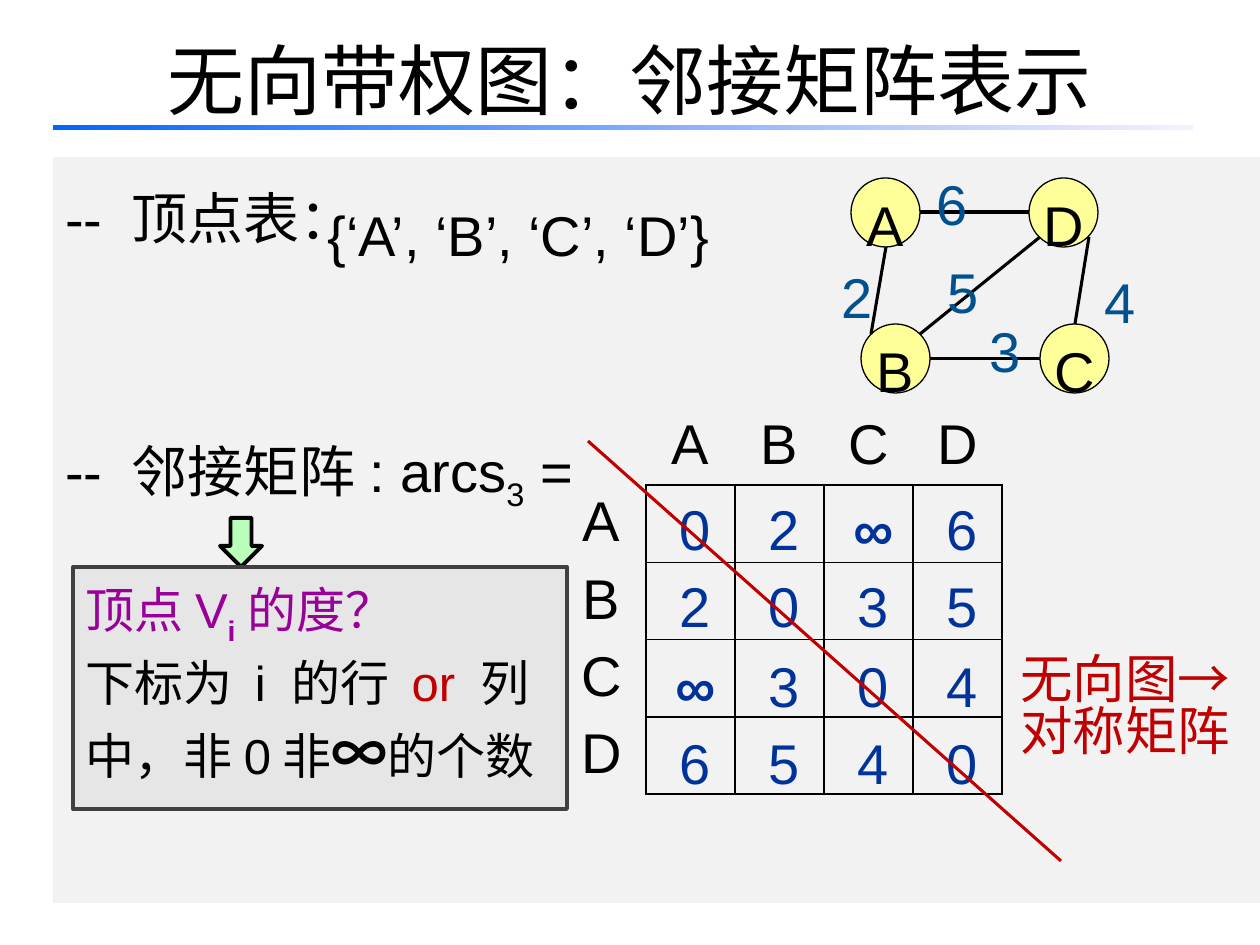
from lxml import etree
from pptx import Presentation
from pptx.dml.color import RGBColor
from pptx.enum.shapes import MSO_CONNECTOR, MSO_SHAPE
from pptx.enum.text import MSO_ANCHOR, PP_ALIGN
from pptx.oxml.ns import qn
from pptx.util import Emu, Pt

SCALE = 914400 / 126
RECTANGLE, OVAL, DOWN_ARROW = MSO_SHAPE.RECTANGLE, MSO_SHAPE.OVAL, MSO_SHAPE.DOWN_ARROW
STRAIGHT = MSO_CONNECTOR.STRAIGHT
LEFT, CENTER, JUSTIFY = PP_ALIGN.LEFT, PP_ALIGN.CENTER, PP_ALIGN.JUSTIFY
TOP, MIDDLE = MSO_ANCHOR.TOP, MSO_ANCHOR.MIDDLE

BLACK = RGBColor(0x00, 0x00, 0x00)
PANEL_GREY = RGBColor(0xF2, 0xF2, 0xF2)
BOX_GREY = RGBColor(0xE6, 0xE6, 0xE6)
BORDER_GREY = RGBColor(0x40, 0x40, 0x40)
RULE_BLUE = RGBColor(0x00, 0x66, 0xFF)
RULE_PALE = RGBColor(0xF7, 0xEF, 0xFF)
YELLOW = RGBColor(0xFF, 0xFF, 0x99)
GREEN = RGBColor(0xB9, 0xFF, 0xB9)
WEIGHT_BLUE = RGBColor(0x00, 0x51, 0x8E)
MATRIX_BLUE = RGBColor(0x00, 0x33, 0x99)
RED = RGBColor(0xC0, 0x00, 0x00)
PURPLE = RGBColor(0x99, 0x00, 0x99)

VERTICES = {"A": (851, 178), "D": (1029, 178), "B": (861, 324), "C": (1040, 324)}
VERTEX_SIZE = 69
EDGES = [
    (1089, 237, 1075, 324),
    (1029, 212, 920, 212),
    (871, 334, 886, 247),
    (1040, 359, 930, 359),
    (1040, 237, 920, 334),
]
WEIGHTS = {"6": (924, 140), "4": (1092, 238), "5": (935, 228), "3": (977, 287), "2": (829, 233)}
NAMES = "ABCD"
MATRIX = ["02∞6", "2035", "∞304", "6540"]
MATRIX_TOPS = [494, 571, 651, 728]
CELL_WIDTH, CELL_HEIGHT = 89, 76


def px(value):
    return Emu(round(value * SCALE))


class SlideBuilder:
    def __init__(self, slide, latin="Arial", east_asian="Noto Sans CJK SC"):
        self.slide = slide
        self.latin = latin
        self.east_asian = east_asian

    def style_run(self, run, size, color, bold=False, subscript=False, font=None):
        run.font.size = Pt(size)
        run.font.name = font or self.latin
        run.font.bold = bold
        run.font.color.rgb = color
        properties = run._r.get_or_add_rPr()
        etree.SubElement(properties, qn("a:ea"), typeface=self.east_asian)
        if subscript:
            properties.set("baseline", "-25000")

    def fill_text(self, shape, paragraphs, size, color, align=LEFT, spacing=1.0,
                  anchor=TOP, wrap=True, hanging=0, font=None):
        """Put text in a shape; each paragraph is a list of (text, run options)."""
        frame = shape.text_frame
        frame.word_wrap = wrap
        frame.vertical_anchor = anchor
        for index, pieces in enumerate(paragraphs):
            paragraph = frame.add_paragraph() if index else frame.paragraphs[0]
            paragraph.alignment = align
            paragraph.line_spacing = spacing
            if hanging:
                properties = paragraph._p.get_or_add_pPr()
                properties.set("marL", str(px(hanging)))
                properties.set("indent", str(-px(hanging)))
            for text, options in pieces:
                run = paragraph.add_run()
                run.text = text
                self.style_run(run, **{"size": size, "color": color, "font": font, **options})
        return frame

    def shape(self, kind, left, top, width, height, fill=None, line=None, line_width=0.75):
        shape = self.slide.shapes.add_shape(kind, px(left), px(top), px(width), px(height))
        shape.shadow.inherit = False
        if fill is not None:
            shape.fill.solid()
            shape.fill.fore_color.rgb = fill
        if line is None:
            shape.line.fill.background()
        else:
            shape.line.color.rgb = line
            shape.line.width = Pt(line_width)
        return shape

    def gradient_rule(self, left, top, width, height, start, end):
        fill = self.shape(RECTANGLE, left, top, width, height).fill
        fill.gradient()
        fill.gradient_angle = 0
        for stop, color, position in zip(fill.gradient_stops, (start, end), (0, 1)):
            stop.color.rgb = color
            stop.position = position

    def text(self, left, top, width, height, paragraphs, size, color, **options):
        box = self.slide.shapes.add_textbox(px(left), px(top), px(width), px(height))
        return self.fill_text(box, paragraphs, size, color, **options)

    def line(self, x1, y1, x2, y2, color=BLACK):
        line = self.slide.shapes.add_connector(STRAIGHT, px(x1), px(y1), px(x2), px(y2))
        line.line.color.rgb = color
        line.line.width = Pt(1.75)
        etree.SubElement(line._element.spPr, qn("a:effectLst"))

    def cell_borders(self, cell, sides):
        """Draw black borders on the named sides (L, R, T, B) and clear the others."""
        properties = cell._tc.get_or_add_tcPr()
        for index, side in enumerate("LRTB"):
            border = etree.Element(qn(f"a:ln{side}"), w=str(Pt(1)))
            if side in sides:
                fill = etree.SubElement(border, qn("a:solidFill"))
                etree.SubElement(fill, qn("a:srgbClr"), val=str(BLACK))
            else:
                etree.SubElement(border, qn("a:noFill"))
            properties.insert(index, border)

    def table(self, left, top, rows, color, sides_of):
        """Add a grid of one-character cells; sides_of(row, column) names the borders."""
        row_count, column_count = len(rows), len(rows[0])
        table = self.slide.shapes.add_table(
            row_count, column_count, px(left), px(top),
            px(CELL_WIDTH * column_count), px(CELL_HEIGHT * row_count)).table
        table.first_row = False
        table.horz_banding = False
        for row_index, row in enumerate(rows):
            for column_index, value in enumerate(row):
                cell = table.cell(row_index, column_index)
                cell.margin_top, cell.margin_bottom = px(6), px(4)
                cell.fill.background()
                self.cell_borders(cell, sides_of(row_index, column_index))
                if value:
                    cell.text_frame.text = value
                    paragraph = cell.text_frame.paragraphs[0]
                    paragraph.alignment = CENTER
                    self.style_run(paragraph.runs[0], 32, color, bold=value == "∞")


def grid_sides(row, column):
    """Borders of the matrix grid: labels in row 0 and column 0 stay open."""
    if row and column:
        return "LRTB"
    if row:
        return "R"
    return "B" if column else ""


def main():
    presentation = Presentation()
    presentation.slide_width, presentation.slide_height = px(1260), px(945)
    builder = SlideBuilder(presentation.slides.add_slide(presentation.slide_layouts[6]))

    panel = builder.shape(RECTANGLE, 53, 157, 1207, 746, PANEL_GREY)
    frame = builder.fill_text(panel, [
        [("-- 顶点表：", {})],
        [("-- 邻接矩阵: arcs", {}), ("3", {"subscript": True}), (" =", {})],
    ], 32, BLACK, align=JUSTIFY, spacing=1.3, hanging=47)
    frame.paragraphs[1].line_spacing = 1.1
    frame.paragraphs[1].space_before = Pt(102)

    builder.text(63, 0, 1134, 157, [[("无向带权图：邻接矩阵表示", {})]], 44, BLACK,
                 align=CENTER, anchor=MIDDLE, font=builder.east_asian)
    builder.gradient_rule(53, 125, 1140, 5, RULE_BLUE, RULE_PALE)

    for name, (left, top) in VERTICES.items():
        vertex = builder.shape(OVAL, left, top, VERTEX_SIZE, VERTEX_SIZE, YELLOW, BLACK)
        builder.fill_text(vertex, [[(name, {})]], 32, BLACK, align=CENTER, spacing=1.35,
                          anchor=MIDDLE, wrap=False)
    for edge in EDGES:
        builder.line(*edge)

    labelled_grid = [["", *NAMES]] + [[name, "", "", "", ""] for name in NAMES]
    builder.table(557, 408, labelled_grid, BLACK, grid_sides)

    for weight, (left, top) in WEIGHTS.items():
        builder.text(left, top, 95, 90, [[(weight, {})]], 32, WEIGHT_BLUE, spacing=1.35)
    builder.text(1008, 651, 305, 136, [[("无向图→", {})], [("对称矩阵", {})]], 30, RED,
                 align=JUSTIFY, spacing=0.82, hanging=47)
    builder.shape(DOWN_ARROW, 220, 518, 42, 49, GREEN, BLACK, 2.25)
    builder.text(315, 171, 525, 97, [[("{‘A’, ‘B’, ‘C’, ‘D’}", {})]], 32, BLACK, spacing=1.35)

    for top, values in zip(MATRIX_TOPS, MATRIX):
        builder.table(651, top, [values], MATRIX_BLUE, lambda row, column: "")
    builder.line(588, 441, 1061, 861, RED)

    degree_box = builder.shape(RECTANGLE, 73, 567, 494, 242, BOX_GREY, BORDER_GREY, 2.25)
    builder.fill_text(degree_box, [
        [("顶点V", {"color": PURPLE}),
         ("i", {"color": PURPLE, "bold": True, "subscript": True}),
         ("的度？", {"color": PURPLE})],
        [("下标为 i 的行 ", {}), ("or ", {"color": RED}), ("列中，非0非", {}),
         ("∞", {"size": 32, "bold": True}), ("的个数", {})],
    ], 28, BLACK, spacing=1.1)

    presentation.save("out.pptx")


if __name__ == "__main__":
    main()
